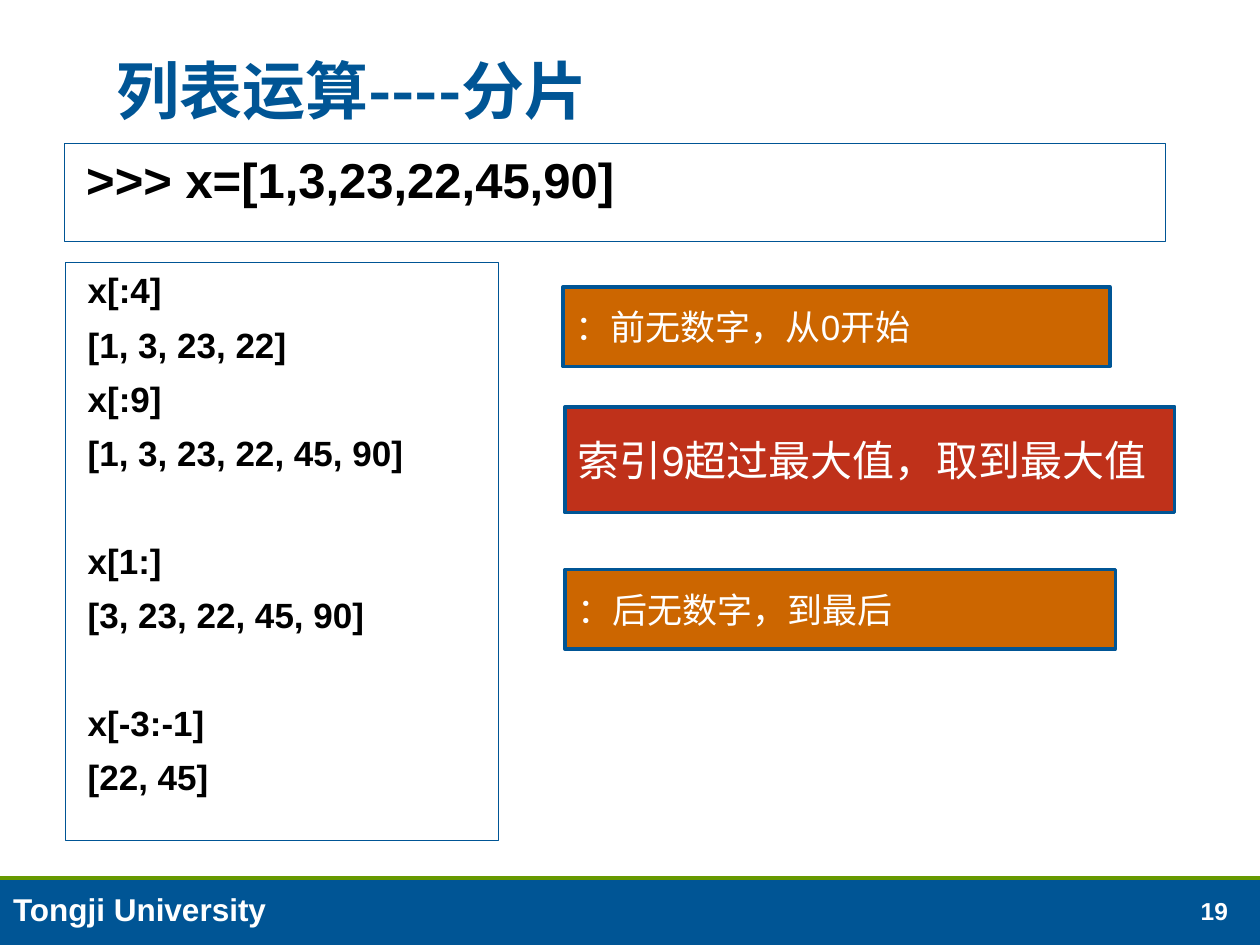
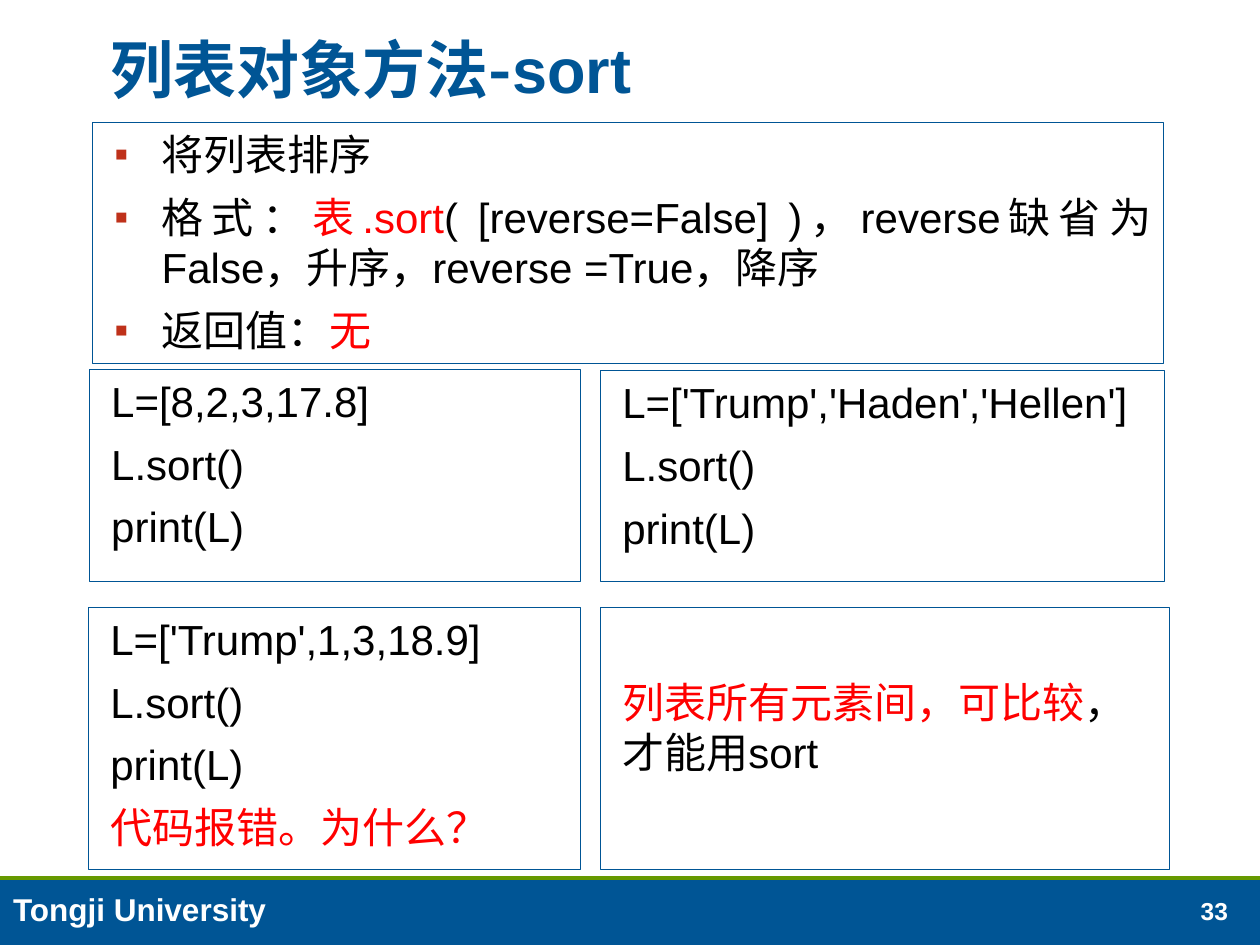
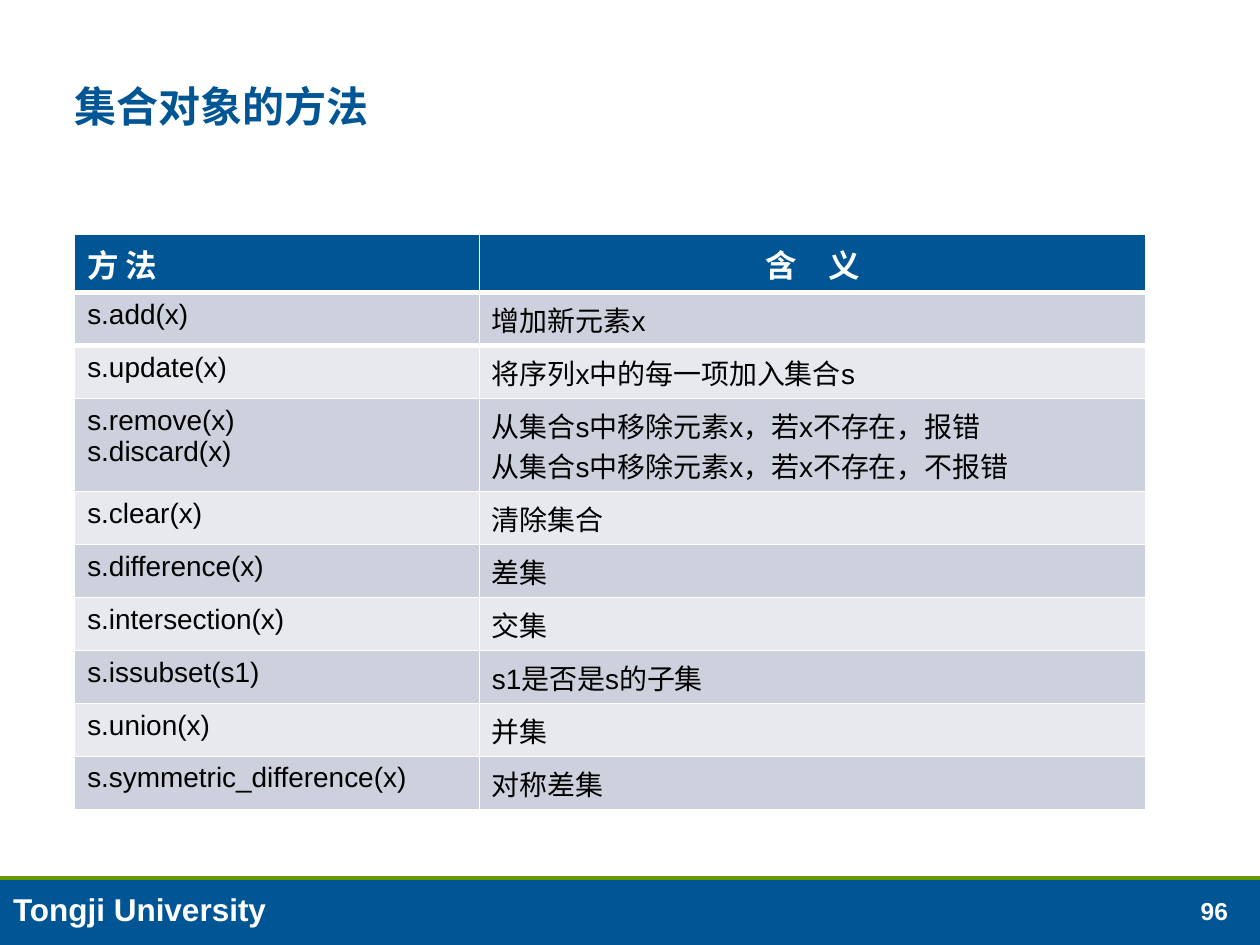
from dataclasses import dataclass

from lxml import etree
from pptx import Presentation
from pptx.dml.color import RGBColor
from pptx.enum import shapes, text
from pptx.oxml import ns
from pptx.util import Pt


@dataclass(frozen=True)
class Theme:
    blue: str = "005595"
    green: str = "669900"
    orange: str = "CC6600"
    brick: str = "BF311A"
    red: str = "FF0000"
    ink: str = "000000"
    paper: str = "FFFFFF"
    band_dark: str = "CCD1DD"
    band_light: str = "E7E9EF"
    latin: str = "Arial"
    chinese: str = "Noto Sans CJK SC"
    title: int = 36
    statement: int = 28
    content: int = 24
    code: int = 20
    heading: int = 18
    cell: int = 16
    number: int = 14
    gap: float = 7
    group_gap: float = 37.5


THEME = Theme()
LEFT, CENTER, JUSTIFY = text.PP_ALIGN.LEFT, text.PP_ALIGN.CENTER, text.PP_ALIGN.JUSTIFY
TOP, MIDDLE, BOTTOM = text.MSO_ANCHOR.TOP, text.MSO_ANCHOR.MIDDLE, text.MSO_ANCHOR.BOTTOM

METHODS = [
    ("s.add(x)", "增加新元素x"),
    ("s.update(x)", "将序列x中的每一项加入集合s"),
    ("s.remove(x)\ns.discard(x)", "从集合s中移除元素x，若x不存在，报错\n从集合s中移除元素x，若x不存在，不报错"),
    ("s.clear(x)", "清除集合"),
    ("s.difference(x)", "差集"),
    ("s.intersection(x)", "交集"),
    ("s.issubset(s1)", "s1是否是s的子集"),
    ("s.union(x)", "并集"),
    ("s.symmetric_difference(x)", "对称差集"),
]


def rgb(color):
    return RGBColor.from_string(color)


def points(box):
    return [Pt(value) for value in box]


def place(shape, box):
    shape.left, shape.top, shape.width, shape.height = points(box)


def style_paragraph(paragraph, size, color, bold=False, align=LEFT, latin=THEME.latin, asian=THEME.latin):
    paragraph.alignment = align
    font = paragraph.font
    font.size, font.bold, font.name = Pt(size), bold, latin
    font.color.rgb = rgb(color)
    defaults = paragraph._p.get_or_add_pPr().find(ns.qn("a:defRPr"))
    etree.SubElement(defaults, ns.qn("a:ea")).set("typeface", asian)


def add_spans(paragraph, spans):
    for span in [spans] if isinstance(spans, str) else spans:
        words, color = (span, None) if isinstance(span, str) else span
        run = paragraph.add_run()
        run.text = words
        if color:
            run.font.color.rgb = rgb(color)


def set_indent(paragraph, margin, first=0):
    properties = paragraph._p.get_or_add_pPr()
    properties.set("marL", str(Pt(margin)))
    properties.set("indent", str(Pt(first)))
    return properties


def add_bullet(paragraph):
    properties = set_indent(paragraph, 32.2, -27)
    color = etree.SubElement(properties, ns.qn("a:buClr"))
    etree.SubElement(color, ns.qn("a:srgbClr")).set("val", THEME.brick)
    for tag, key, value in (("buSzPct", "val", "95000"), ("buFont", "typeface", THEME.latin), ("buChar", "char", "▪")):
        etree.SubElement(properties, ns.qn(f"a:{tag}")).set(key, value)


def write(frame, groups, size, color=THEME.ink, margin=0, bullets=False, **style):
    first = True
    for group in groups:
        for position, spans in enumerate(group):
            paragraph = frame.paragraphs[0] if first else frame.add_paragraph()
            paragraph.space_before = Pt(0 if first else THEME.gap if position else THEME.group_gap)
            first = False
            if bullets:
                add_bullet(paragraph)
            else:
                set_indent(paragraph, margin)
            style_paragraph(paragraph, size, color, **style)
            add_spans(paragraph, spans)


def paint(shape, fill, line=None, width=0.75):
    shape.fill.solid()
    shape.fill.fore_color.rgb = rgb(fill)
    if line:
        shape.line.color.rgb = rgb(line)
        shape.line.width = Pt(width)
    else:
        shape.line.fill.background()


def add_box(slide, box, fill, line=None, width=0.75, anchor=TOP):
    rectangle = slide.shapes.add_shape(shapes.MSO_SHAPE.RECTANGLE, *points(box))
    rectangle.shadow.inherit = False
    paint(rectangle, fill, line, width)
    rectangle.text_frame.word_wrap = True
    rectangle.text_frame.vertical_anchor = anchor
    return rectangle


def add_panel(slide, box, groups, size=THEME.content, top=3.6, **style):
    frame = add_box(slide, box, THEME.paper, THEME.blue).text_frame
    frame.margin_top = Pt(top)
    write(frame, groups, size, margin=5.5, **style)


def add_callout(slide, box, words, size=THEME.code, fill=THEME.orange):
    callout = add_box(slide, box, fill, THEME.blue, 2, MIDDLE)
    write(callout.text_frame, [[words]], size, THEME.paper)


def add_label(slide, box, words, size, wrap=True, anchor=TOP):
    label = slide.shapes.add_textbox(*points(box))
    label.text_frame.word_wrap = wrap
    label.text_frame.vertical_anchor = anchor
    write(label.text_frame, [[words]], size, THEME.paper, bold=True)
    return label


def add_master_band(slide, master):
    band = add_box(slide, (0, 501.6, 720, 38.4), THEME.blue)
    edge = slide.shapes.add_connector(shapes.MSO_CONNECTOR.STRAIGHT, *points((0, 501.6, 720, 501.6)))
    edge.line.color.rgb = rgb(THEME.green)
    edge.line.width = Pt(2)
    etree.SubElement(edge._element.spPr, ns.qn("a:effectLst"))
    university = add_label(slide, (0.4, 505, 253, 29), "Tongji University", THEME.heading)
    for part in (band, edge, university):
        master.element.cSld.spTree.append(part.element)


def new_slide(deck, layout, number):
    slide = deck.slides.add_slide(deck.slide_layouts[layout])
    add_label(slide, (679, 508, 38, 24.5), number, THEME.number, False, BOTTOM)
    return slide


def set_title(slide, words, box, size=THEME.title, latin=THEME.chinese, ending=""):
    title = slide.shapes.title
    place(title, box)
    frame = title.text_frame
    frame.word_wrap = True
    frame.auto_size = text.MSO_AUTO_SIZE.NONE
    frame.vertical_anchor = BOTTOM
    write(frame, [[words]], size, THEME.blue, bold=True, latin=latin, asian=THEME.chinese)
    heading = frame.paragraphs[0]
    heading.line_spacing = 0.95
    if ending:
        run = heading.add_run()
        run.text = ending
        run.font.name = THEME.latin


def set_list(slide, box, items):
    body = slide.placeholders[1]
    place(body, box)
    paint(body, THEME.paper, THEME.blue)
    frame = body.text_frame
    frame.word_wrap = True
    frame.auto_size = text.MSO_AUTO_SIZE.NONE
    frame.vertical_anchor = TOP
    write(frame, [items], THEME.content, bullets=True, align=JUSTIFY)


def fill_cell(cell, words, fill, size, color, bold=False, align=LEFT):
    cell.fill.solid()
    cell.fill.fore_color.rgb = rgb(fill)
    cell.text = words
    for paragraph in cell.text_frame.paragraphs:
        style_paragraph(paragraph, size, color, bold, align, asian=THEME.chinese)


def set_border(cell, side, width):
    border = etree.Element(ns.qn(f"a:{side}"), w=str(Pt(width)))
    fill = etree.SubElement(border, ns.qn("a:solidFill"))
    etree.SubElement(fill, ns.qn("a:srgbClr")).set("val", THEME.paper)
    cell._tc.get_or_add_tcPr().insert(0, border)


def add_method_table(slide, left, top, widths, headings, methods):
    header_height, padding, line_height = 33.2, 7.4, 22.9
    heights = [header_height] + [padding + line_height * len(meaning.split("\n")) for _, meaning in methods]
    box = points((left, top, sum(widths), sum(heights)))
    table = slide.shapes.add_table(len(heights), len(widths), *box).table
    for column, width in zip(table.columns, widths):
        column.width = Pt(width)
    for row, height in zip(table.rows, heights):
        row.height = Pt(height)
    for column, (heading, align) in enumerate(headings):
        cell = table.cell(0, column)
        fill_cell(cell, heading, THEME.blue, THEME.heading, THEME.paper, True, align)
        set_border(cell, "lnB", 3)
        set_border(table.cell(1, column), "lnT", 3)
    for row, method in enumerate(methods, 1):
        band = THEME.band_dark if row % 2 else THEME.band_light
        for column, words in enumerate(method):
            fill_cell(table.cell(row, column), words, band, THEME.cell, THEME.ink)


def build_slicing(slide):
    set_title(slide, "列表运算----分片", (59.2, 14.6, 612, 62.6))
    add_panel(slide, (36.7, 82, 629.3, 56), [[">>> x=[1,3,23,22,45,90]"]],
              THEME.statement, bold=True, align=JUSTIFY)
    add_panel(slide, (37.5, 150, 247.5, 330.5), [
        ["x[:4]", "[1, 3, 23, 22]", "x[:9]", "[1, 3, 23, 22, 45, 90]"],
        ["x[1:]", "[3, 23, 22, 45, 90]"],
        ["x[-3:-1]", "[22, 45]"],
    ], THEME.code, bold=True, align=JUSTIFY)
    add_callout(slide, (322.8, 232.5, 348.5, 60.5), "索引9超过最大值，取到最大值", THEME.content, THEME.brick)
    add_callout(slide, (321.8, 164, 312.5, 45.4), "：前无数字，从0开始")
    add_callout(slide, (322.8, 325.5, 314.6, 45.4), "：后无数字，到最后")


def build_sorting(slide):
    set_title(slide, "列表对象方法-", (56.2, 8.2, 612, 57), ending="sort")
    set_list(slide, (53, 70, 612, 137.7), [
        "将列表排序",
        ["格式：", ("表.sort", THEME.red), "( [reverse=False] )，reverse缺省为False，升序，reverse =True，降序"],
        ["返回值：", ("无", THEME.red)],
    ])
    calls = ["L.sort()", "print(L)"]
    add_panel(slide, (51, 211, 280.8, 121.5), [["L=[8,2,3,17.8]", *calls]])
    add_panel(slide, (343, 211.8, 322.5, 120.5), [["L=['Trump','Haden','Hellen']", *calls]])
    add_panel(slide, (50.5, 347, 281.2, 150),
              [["L=['Trump',1,3,18.9]", *calls, [("代码报错。为什么？", THEME.red)]]])
    add_panel(slide, (343, 347, 325.5, 150),
              [[[("列表所有元素间，可比较", THEME.red), "，才能用sort"]]], top=39.5)


def build_set_methods(slide):
    set_title(slide, "集合对象的方法", (35.5, 10.8, 651.6, 68.4), THEME.content, THEME.latin)
    add_method_table(slide, 42.7, 134, (231.2, 380.8), (("方 法", LEFT), ("含　义", CENTER)), METHODS)


def main():
    deck = Presentation()
    deck.slide_width, deck.slide_height = Pt(720), Pt(540)
    slicing = new_slide(deck, 5, "19")
    add_master_band(slicing, deck.slide_master)
    build_slicing(slicing)
    build_sorting(new_slide(deck, 1, "33"))
    build_set_methods(new_slide(deck, 5, "96"))
    deck.save("out.pptx")


if __name__ == "__main__":
    main()
